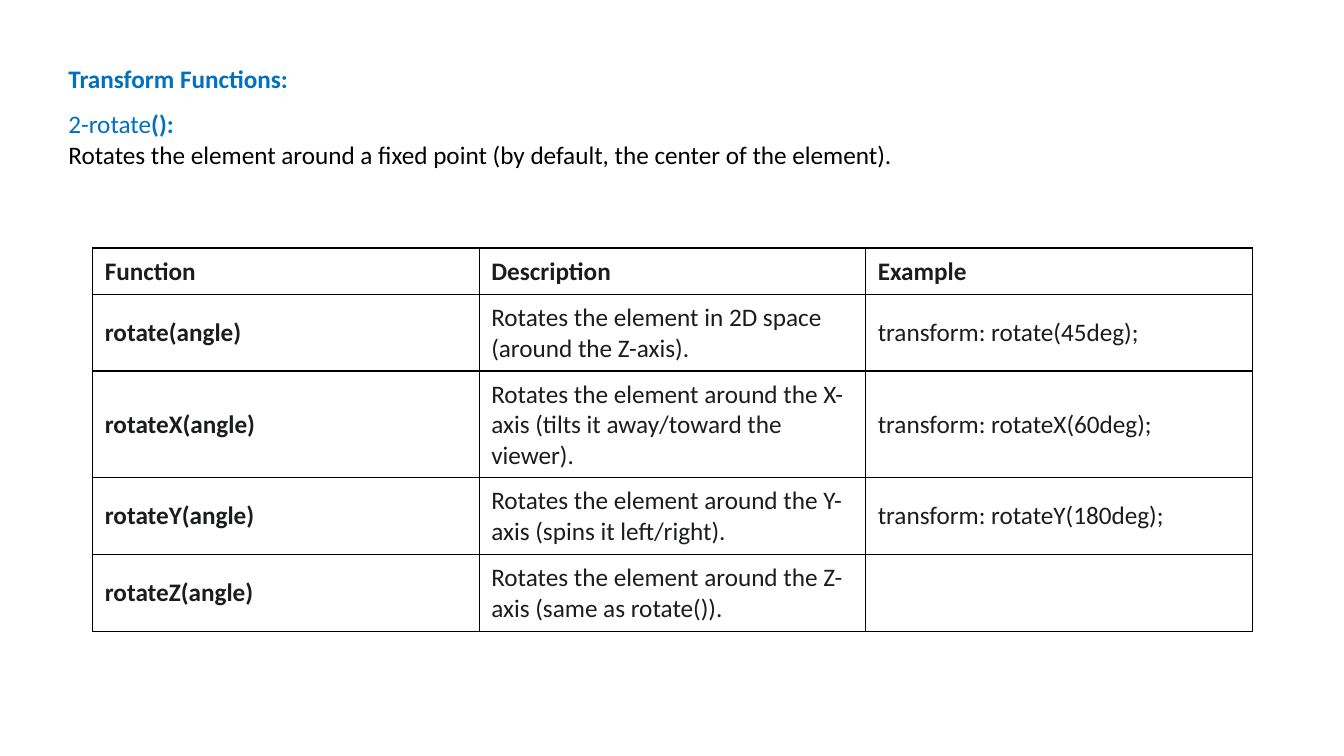
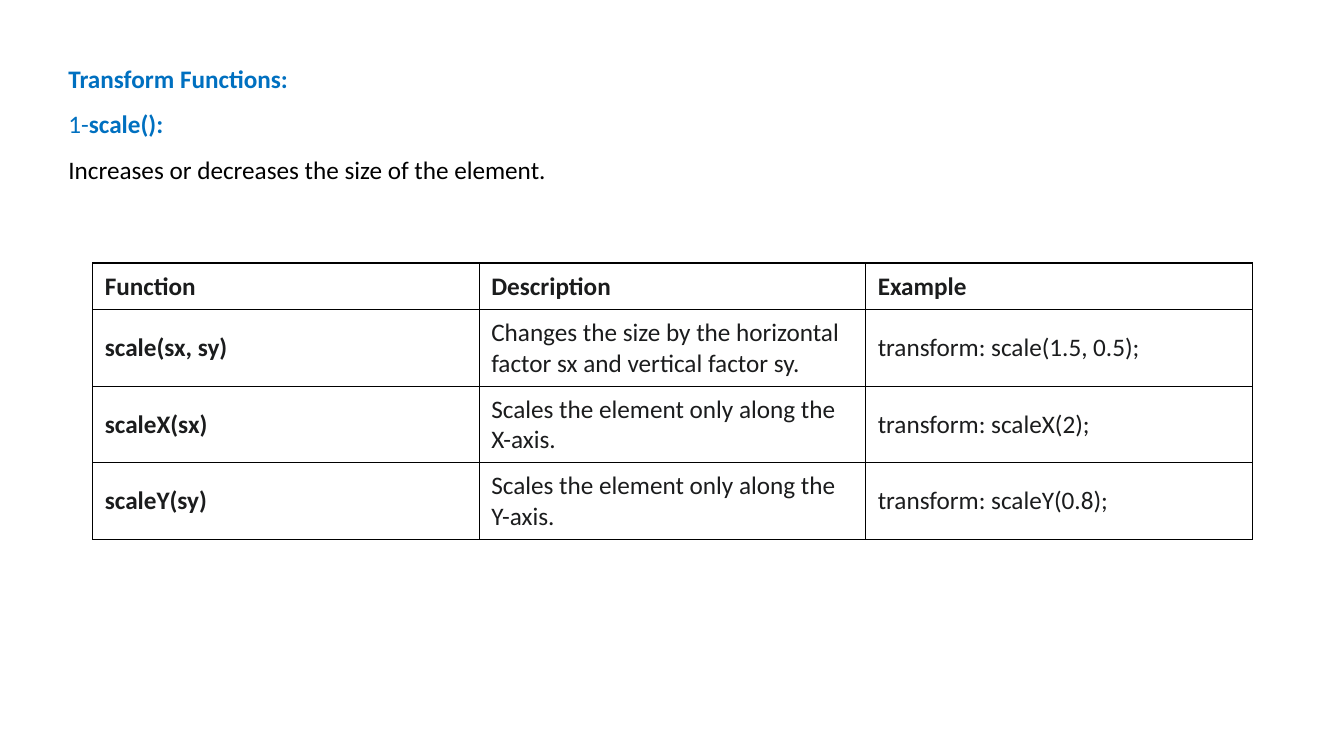
from lxml.etree import SubElement
from pptx import Presentation
from pptx.dml.color import RGBColor
from pptx.enum.text import MSO_ANCHOR
from pptx.oxml.ns import qn
from pptx.util import Inches, Pt

HEADING = "Transform Functions:"
COLUMNS = ("Function", "Description", "Example")
SLIDES = [
    {
        "topic": (("2-rotate", False), ("():", True)),
        "intro": "Rotates the element around a fixed point (by default, the center of the element).",
        "intro_spacing": 1.0,
        "text_height": 2.63,
        "table_top": 2.46,
        "rows": [
            ("rotate(angle)", "Rotates the element in 2D space (around the Z-axis).",
             "transform: rotate(45deg);"),
            ("rotateX(angle)", "Rotates the element around the X-axis (tilts it away/toward the viewer).",
             "transform: rotateX(60deg);"),
            ("rotateY(angle)", "Rotates the element around the Y-axis (spins it left/right).",
             "transform: rotateY(180deg);"),
            ("rotateZ(angle)", "Rotates the element around the Z-axis (same as rotate()).", ""),
        ],
        "row_lines": (1, 2, 3, 2, 2),
    },
    {
        "topic": (("1-", False), ("scale():", True)),
        "intro": "Increases or decreases the size of the element.",
        "intro_spacing": 1.5,
        "text_height": 1.87,
        "table_top": 2.61,
        "rows": [
            ("scale(sx, sy)", "Changes the size by the horizontal factor sx and vertical factor sy.",
             "transform: scale(1.5, 0.5);"),
            ("scaleX(sx)", "Scales the element only along the X-axis.", "transform: scaleX(2);"),
            ("scaleY(sy)", "Scales the element only along the Y-axis.", "transform: scaleY(0.8);"),
        ],
        "row_lines": (1, 2, 2, 2),
    },
]

BLUE = RGBColor(0x00, 0x70, 0xC0)
BLACK = RGBColor(0x00, 0x00, 0x00)
INK = RGBColor(0x1B, 0x1C, 0x1D)
FONT, SIZE = "Calibri", Pt(18)
TEXT_LEFT, TEXT_TOP, TEXT_WIDTH = 0.58, 0.43, 11.61
TABLE_LEFT, TABLE_WIDTH = 0.92, 11.5
PAD_X, PAD_Y, LINE_HEIGHT = 0.12, 0.08, 0.3


def style(r, color, bold):
    r.font.name, r.font.size, r.font.bold = FONT, SIZE, bold
    r.font.color.rgb = color


def add_intro(s, content):
    box = s.shapes.add_textbox(Inches(TEXT_LEFT), Inches(TEXT_TOP),
                               Inches(TEXT_WIDTH), Inches(content["text_height"]))
    tf = box.text_frame
    tf.word_wrap = True
    paragraphs = (
        (((HEADING, True),), BLUE, 1.5),
        (content["topic"], BLUE, 1.5),
        (((content["intro"], False),), BLACK, content["intro_spacing"]),
    )
    for i, (runs, color, spacing) in enumerate(paragraphs):
        p = tf.add_paragraph() if i else tf.paragraphs[0]
        p.line_spacing = spacing
        for text, bold in runs:
            r = p.add_run()
            r.text = text
            style(r, color, bold)


def add_borders(cell):
    tc_pr = cell._tc.get_or_add_tcPr()
    for side in ("lnL", "lnR", "lnT", "lnB"):
        ln = SubElement(tc_pr, qn(f"a:{side}"), w=str(Pt(1)))
        fill = SubElement(ln, qn("a:solidFill"))
        SubElement(fill, qn("a:srgbClr"), val=str(BLACK))


def add_function_table(s, content):
    rows = [COLUMNS] + content["rows"]
    heights = [Inches(2 * PAD_Y + n * LINE_HEIGHT) for n in content["row_lines"]]
    table = s.shapes.add_table(len(rows), len(COLUMNS), Inches(TABLE_LEFT),
                               Inches(content["table_top"]), Inches(TABLE_WIDTH),
                               sum(heights)).table
    table.first_row = table.horz_banding = False
    for i, (row, height) in enumerate(zip(rows, heights)):
        table.rows[i].height = height
        for j, text in enumerate(row):
            cell = table.cell(i, j)
            cell.text_frame.text = text
            cell.vertical_anchor = MSO_ANCHOR.MIDDLE
            cell.margin_left = cell.margin_right = Inches(PAD_X)
            cell.margin_top = cell.margin_bottom = Inches(PAD_Y)
            for r in cell.text_frame.paragraphs[0].runs:
                style(r, INK, i == 0 or j == 0)
            add_borders(cell)
            cell.fill.background()


def main():
    prs = Presentation()
    prs.slide_width, prs.slide_height = Inches(13.33), Inches(7.5)
    for content in SLIDES:
        s = prs.slides.add_slide(prs.slide_layouts[6])
        add_intro(s, content)
        add_function_table(s, content)
    prs.save("out.pptx")


if __name__ == "__main__":
    main()
